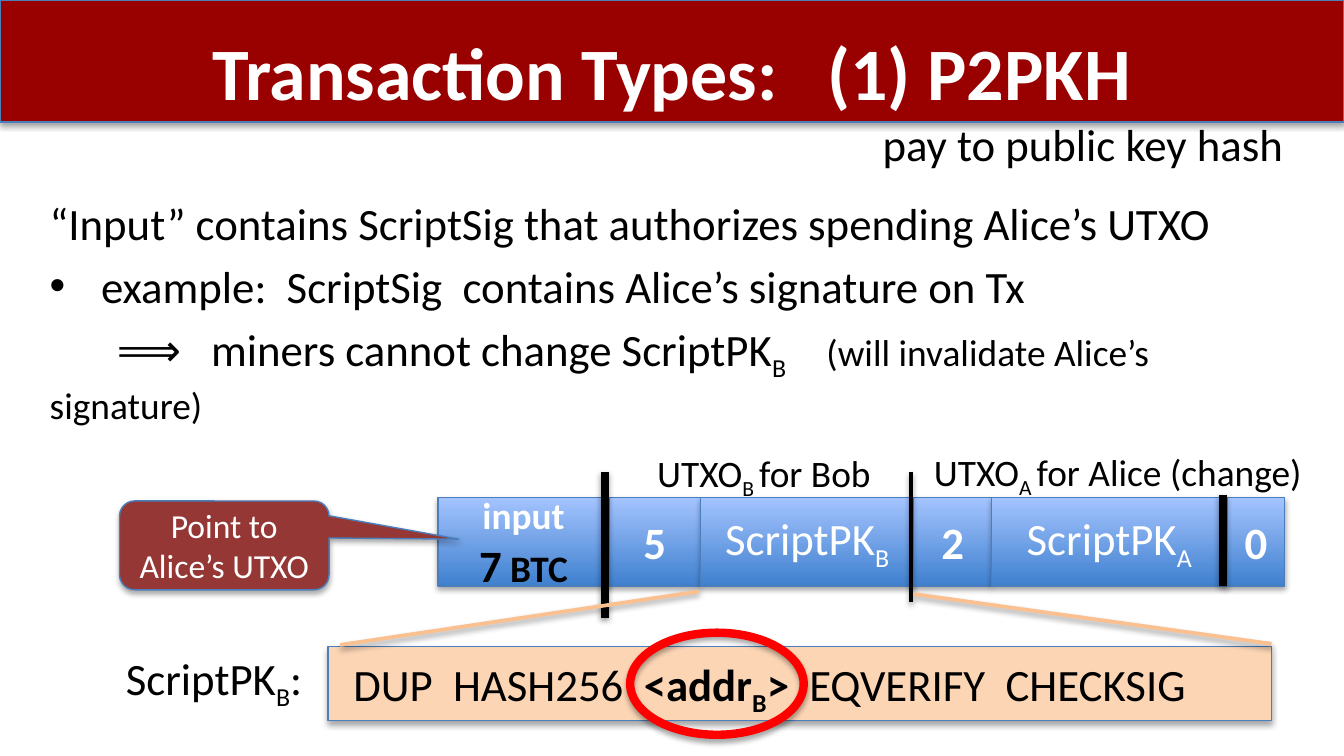
from lxml import etree
from pptx import Presentation
from pptx import util as u
from pptx.dml.color import RGBColor
from pptx.enum import shapes, text
from pptx.oxml.ns import qn

COLORS = {
    "header": "990000", "edge": "4B7EBC", "cell_bottom": "3F80CE",
    "cell_top": "A4C4FF", "script": "FCD5B5", "zoom": "FAC090",
    "callout": "953735", "ring": "FF0000", "black": "000000", "white": "FFFFFF",
}
SUB = {"sub": True}
BOLD = {"bold": True}
BOLD_SUB = {"bold": True, "sub": True}
SMALL = {"size": 20}


def rgb(name):
    return RGBColor.from_string(COLORS[name])


def cm(*values):
    return [u.Cm(v) for v in values]


class Deck:
    """Holds the style and the current slide."""
    font = "Calibri"
    M = shapes.MSO_SHAPE

    def __init__(self, prs):
        self.s = prs.slides.add_slide(prs.slide_layouts[5])

    def shadow(self, sp, alpha, dist):
        pr = sp._element.spPr
        effects = pr.find(qn("a:effectLst"))
        if effects is None:
            effects = etree.SubElement(pr, qn("a:effectLst"))
        shade = etree.SubElement(effects, qn("a:outerShdw"), blurRad=str(u.Pt(3.1)),
                                 dist=str(u.Pt(dist)), dir="5400000", rotWithShape="0")
        clr = etree.SubElement(shade, qn("a:srgbClr"), val=COLORS["black"])
        etree.SubElement(clr, qn("a:alpha"), val=str(alpha * 1000))

    def fill_text(self, sp, paras, size=24, color="black", align=None, wrap=False,
                  anchor="TOP"):
        """Each paragraph is a list of runs: a string or (string, format)."""
        tf = sp.text_frame
        tf.word_wrap = wrap
        tf.auto_size = text.MSO_AUTO_SIZE.NONE
        tf.vertical_anchor = getattr(text.MSO_ANCHOR, anchor)
        for i, runs in enumerate(paras):
            p = tf.add_paragraph() if i else tf.paragraphs[0]
            p.alignment = align
            for run in runs:
                content, fmt = (run, {}) if isinstance(run, str) else run
                r = p.add_run()
                r.text = content
                values = {"name": self.font, "bold": fmt.get("bold", False),
                          "size": u.Pt(fmt.get("size", size))}
                for key, value in values.items():
                    setattr(r.font, key, value)
                r.font.color.rgb = rgb(fmt.get("color", color))
                if fmt.get("sub"):
                    r._r.get_or_add_rPr().set("baseline", "-25000")
        return tf

    def title(self, box, content):
        sp = self.s.shapes.title
        sp.left, sp.top, sp.width, sp.height = cm(*box)
        self.fill_text(sp, [[(content, BOLD)]], 39.6, "white", text.PP_ALIGN.CENTER)

    def label(self, box, paras, size=24, wrap=False):
        return self.fill_text(self.s.shapes.add_textbox(*cm(*box)), paras, size, wrap=wrap)

    def shape(self, kind, box, fill=None, edge="edge", weight=0.75, paras=(), size=24):
        sp = self.s.shapes.add_shape(kind, *cm(*box))
        if fill == "cell":
            sp.fill.gradient()
            sp.fill.gradient_angle = 90
            for stop, name in zip(sp.fill.gradient_stops, ("cell_bottom", "cell_top")):
                stop.color.rgb = rgb(name)
        elif fill:
            sp.fill.solid()
            sp.fill.fore_color.rgb = rgb(fill)
        else:
            sp.fill.background()
        sp.line.color.rgb = rgb(edge)
        sp.line.width = u.Pt(weight)
        sp.shadow.inherit = False
        self.shadow(sp, 35, 1.8)
        if paras:
            self.fill_text(sp, paras, size, "white", text.PP_ALIGN.CENTER, True, "MIDDLE")
        return sp

    def line(self, ends, color="black", weight=2):
        c = self.s.shapes.add_connector(shapes.MSO_CONNECTOR.STRAIGHT, *cm(*ends))
        c.line.color.rgb = rgb(color)
        c.line.width = u.Pt(weight)
        self.shadow(c, 38, 1.6)

    def bullet(self, p, indent):
        pr = p._p.get_or_add_pPr()
        pr.set("marL", str(u.Cm(indent)))
        pr.set("indent", str(-u.Cm(indent)))
        etree.SubElement(pr, qn("a:buFont"), typeface="Arial")
        etree.SubElement(pr, qn("a:buChar"), char="•")

    def tabs(self, p, stops):
        tab_list = etree.SubElement(p._p.get_or_add_pPr(), qn("a:tabLst"))
        for stop in stops:
            etree.SubElement(tab_list, qn("a:tab"), pos=str(u.Cm(stop)), algn="l")


def main():
    prs = Presentation()
    prs.slide_width, prs.slide_height = cm(25.4, 14.29)
    d = Deck(prs)
    M = d.M

    # Header band behind the title
    band = d.shape(M.RECTANGLE, (0, 0, 25.4, 2.31), "header")
    d.s.shapes.title._element.addprevious(band._element)
    d.title((1.27, 0.38, 22.86, 1.73), "Transaction Types:   (1) P2PKH")
    d.label((16.43, 2.08, 8.15, 1.27), [["pay to public key hash"]])

    # Explanation
    tf = d.label((0.69, 3.58, 24.31, 4.45), [
        ["“Input” contains ScriptSig that authorizes spending Alice’s UTXO"],
        ["example:  ScriptSig  contains Alice’s signature on Tx"],
        ["\t⟹\tminers cannot change ScriptPK", ("B", SUB),
         ("\t(will invalidate Alice’s signature)", SMALL)],
    ], wrap=True)
    for p in tf.paragraphs[1:]:
        p.space_before = u.Pt(4.8)
    d.bullet(tf.paragraphs[1], 0.97)
    d.tabs(tf.paragraphs[2], (1.27, 3.05, 14.68))

    # Transaction row: adjoining cells between shared edges
    edges = (8.28, 11.51, 13.24, 17.27, 18.74, 23.19, 24.28)
    cells = (
        [[("input", {"bold": True, "size": 20})],
         [("7", {"bold": True, "color": "black"}),
          (" BTC", {"bold": True, "size": 20, "color": "black"})]],
        [[("5", BOLD)]],
        [["ScriptPK", ("B", SUB)]],
        [[("2", BOLD)]],
        [["ScriptPK", ("A", SUB)]],
        [[("0", BOLD)]],
    )
    for left, right, paras in zip(edges, edges[1:], cells):
        d.shape(M.RECTANGLE, (left, 9.4, right - left, 1.68), "cell", paras=paras)

    # Dividers and output labels
    for x, top, bottom, weight in ((11.43, 8.92, 11.68, 4.5), (17.22, 8.92, 11.38, 2),
                                   (23.11, 9.35, 11.07, 4.5)):
        d.line((x, top, x, bottom), weight=weight)
    for box, owner, use in (((12.17, 8.38, 4.75, 1.12), "B ", "for Bob"),
                            ((17.4, 8.36, 7.72, 1.12), "A ", "for Alice (change)")):
        d.label(box, [["UTXO", (owner, SUB), use]], 20)

    # Expanded script
    d.shape(M.RECTANGLE, (6.2, 12.22, 17.83, 1.4), "script")
    d.label((6.43, 12.29, 16.43, 1.27), [[
        "DUP  HASH256  ", ("<addr", BOLD), ("B", BOLD_SUB), (">  ", BOLD),
        "EQVERIFY  CHECKSIG"]])
    d.label((2.13, 12.17, 4.06, 1.27), [["ScriptPK", ("B", SUB), ":"]])
    d.line((13.21, 11.18, 6.43, 12.19), "zoom")
    d.line((17.27, 11.23, 24.03, 12.17), "zoom")
    d.shape(M.OVAL, (11.91, 11.96, 3.28, 1.93), edge="ring", weight=4.5)

    # Callout to the input
    callout = d.shape(M.ROUNDED_RECTANGULAR_CALLOUT, (2.26, 9.47, 3.96, 1.68), "callout",
                      paras=[["Point to Alice’s UTXO"]], size=18)
    for i, value in enumerate((1.12, -0.07, 0.17)):
        callout.adjustments[i] = value

    prs.save("out.pptx")


if __name__ == "__main__":
    main()
